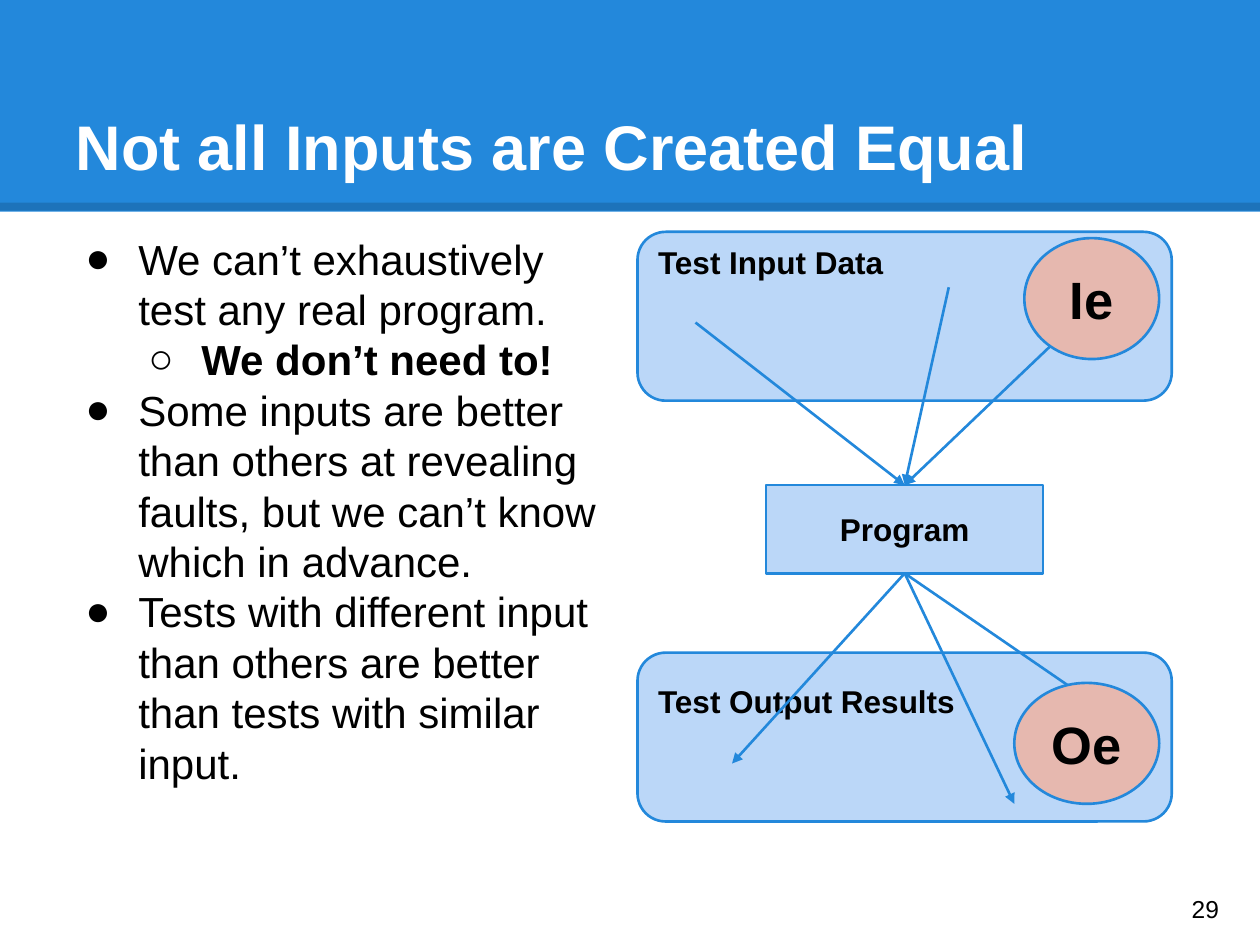
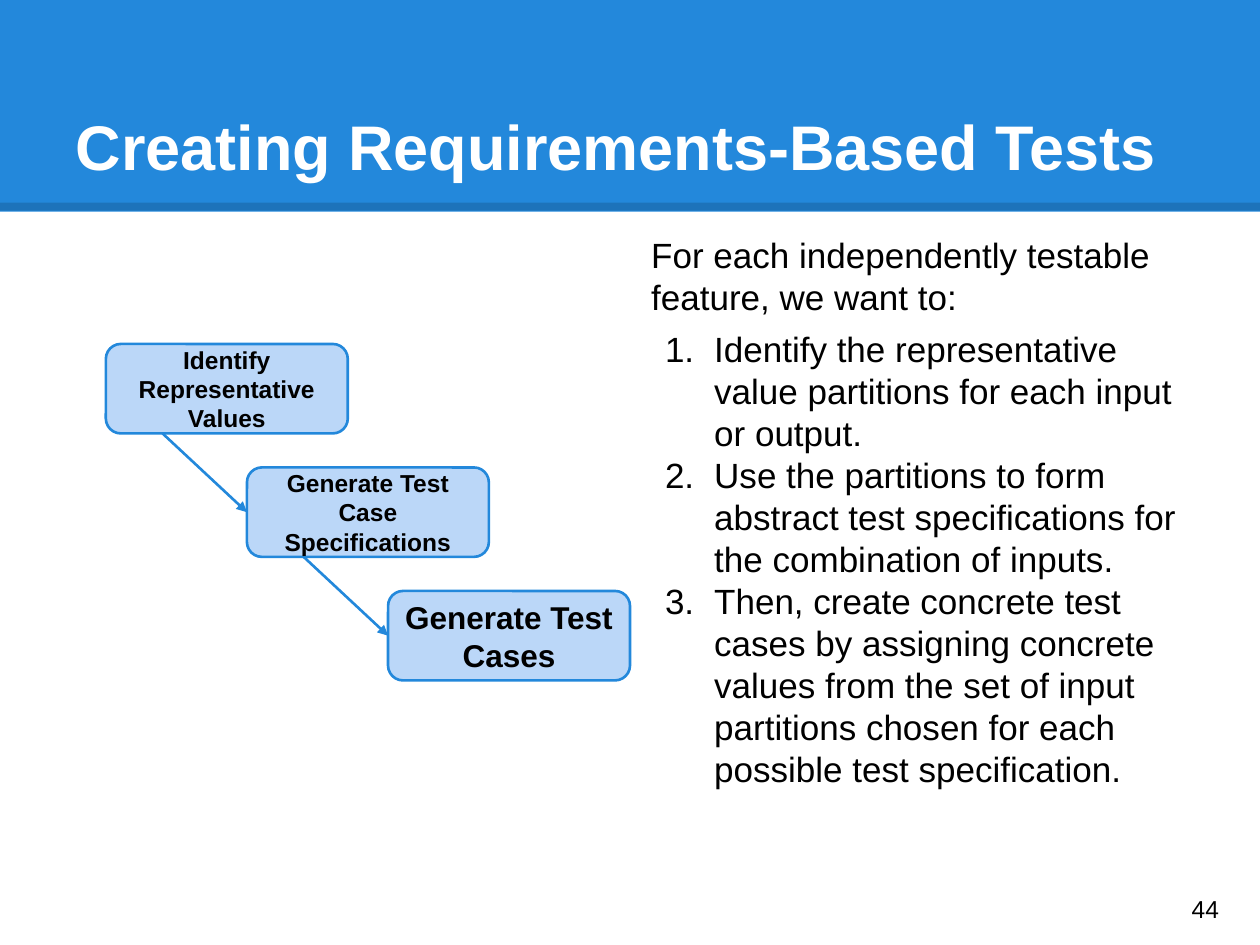
"""Build two slides on choosing test inputs and deriving requirements-based tests."""
from dataclasses import dataclass

from lxml import etree
from pptx import Presentation, util as u
from pptx.dml.color import RGBColor
from pptx.enum import shapes as kinds, text as txt
from pptx.oxml import ns


@dataclass(frozen=True)
class Theme:
    font: str = "Arial"
    accent: str = "2388DB"
    panel: str = "BBD7F8"
    highlight: str = "E6B8AF"
    ink: str = "000000"
    paper: str = "FFFFFF"
    title_size: int = 36
    symbol_size: int = 30
    bullet_size: int = 24
    list_size: int = 20
    label_size: int = 18
    small_size: int = 14
    outline: float = 1.5
    rule: float = 4.5
    rule_alpha: int = 15000
    inset: float = 0.1


THEME = Theme()
WIDTH, HEIGHT = 10, 7.5
BAND_HEIGHT, RULE_Y = 1.68, 1.64
TITLE_BOX = (0.5, 0.3, 9, 1.25)
PAGE_BOX = (9.36, 6.93, 0.6, 0.57)
BODY_TOP, BODY_SIZE = 1.75, (4.37, 5.43)
LEFT_COLUMN, RIGHT_COLUMN = 0.5, 5.07

INPUTS = {
    "title": "Not all Inputs are Created Equal",
    "page": "29",
    "points": [
        ("We can’t exhaustively test any real program.", "●"),
        ("We don’t need to!", "○"),
        ("Some inputs are better than others at revealing faults, "
         "but we can’t know which in advance.", "●"),
        ("Tests with different input than others are better "
         "than tests with similar input.", "●"),
    ],
    "program": "Program",
    "panels": [("Test Input Data", 1.84, 0.02), ("Test Output Results", 5.18, 0.17)],
    "symbols": [("Ie", 1.07, 1.89), ("Oe", 1.15, 5.42)],
    "sources": [(5.52, 2.56), (7.53, 2.28), (8.69, 2.41)],
    "results": [(5.81, 6.06), (8.05, 6.38), (9.03, 5.82)],
}
STEPS = {
    "title": "Creating Requirements-Based Tests",
    "page": "44",
    "points": [
        ("For each independently testable feature, we want to:", ""),
        ("Identify the representative value partitions for each input or output.", "1."),
        ("Use the partitions to form abstract test specifications "
         "for the combination of inputs.", "1."),
        ("Then, create concrete test cases by assigning concrete values from the set "
         "of input partitions chosen for each possible test specification.", "1."),
    ],
    "steps": [
        ("Identify Representative Values", THEME.small_size),
        ("Generate Test Case Specifications", THEME.small_size),
        ("Generate Test Cases", THEME.label_size),
    ],
}


def inches(*lengths):
    return [u.Inches(length) for length in lengths]


def rgb(colour):
    return RGBColor.from_string(colour)


def add_xml(parent, tag, **attributes):
    return etree.SubElement(parent, ns.qn(tag), attributes)


def style_frame(frame, anchor, size, colour=THEME.ink, bold=False, align=None):
    frame.word_wrap = True
    frame.auto_size = txt.MSO_AUTO_SIZE.NONE
    frame.vertical_anchor = anchor
    frame.margin_left = frame.margin_right = u.Inches(THEME.inset)
    frame.margin_top = frame.margin_bottom = u.Inches(THEME.inset)
    for paragraph in frame.paragraphs:
        paragraph.alignment = align or txt.PP_ALIGN.LEFT
        for run in paragraph.runs:
            run.font.name, run.font.size = THEME.font, u.Pt(size)
            run.font.bold, run.font.color.rgb = bold, rgb(colour)


def add_node(slide, kind, box, label, size, fill=THEME.panel, align=txt.PP_ALIGN.CENTER):
    node = slide.shapes.add_shape(kind, *inches(*box))
    node.shadow.inherit = False
    node.fill.solid()
    node.fill.fore_color.rgb = rgb(fill)
    node.line.color.rgb, node.line.width = rgb(THEME.accent), u.Pt(THEME.outline)
    node.text_frame.text = label
    style_frame(node.text_frame, txt.MSO_ANCHOR.MIDDLE, size, bold=True, align=align)
    return node


def add_line(slide, start, end, colour, width):
    line = slide.shapes.add_connector(kinds.MSO_CONNECTOR.STRAIGHT, *inches(*start, *end))
    line.line.color.rgb, line.line.width = rgb(colour), u.Pt(width)
    add_xml(line.element.spPr, "a:effectLst")
    return line


def add_arrow(slide, start, end):
    arrow = add_line(slide, start, end, THEME.accent, THEME.outline)
    add_xml(arrow.element.spPr.find(ns.qn("a:ln")), "a:tailEnd", type="triangle")
    return arrow


def add_band(slide, layout):
    for placeholder in list(layout.placeholders)[1:]:
        layout.shapes.element.remove(placeholder.element)
    band = slide.shapes.add_shape(kinds.MSO_SHAPE.RECTANGLE, *inches(0, 0, WIDTH, BAND_HEIGHT))
    band.shadow.inherit = False
    band.fill.solid()
    band.fill.fore_color.rgb = rgb(THEME.accent)
    band.line.fill.background()
    rule = add_line(slide, (0, RULE_Y), (WIDTH, RULE_Y), THEME.ink, THEME.rule)
    colour = rule.element.spPr.find(".//" + ns.qn("a:srgbClr"))
    add_xml(colour, "a:alpha", val=str(THEME.rule_alpha))
    for position, part in enumerate((band, rule), start=2):
        layout.shapes.element.insert(position, part.element)


def add_text(slide, box, content, size, anchor):
    frame = slide.shapes.add_textbox(*inches(*box)).text_frame
    frame.text = content
    style_frame(frame, anchor, size)
    return frame


def start_slide(deck, layout, content):
    slide = deck.slides.add_slide(layout)
    title = slide.shapes.title
    title.left, title.top, title.width, title.height = inches(*TITLE_BOX)
    title.text_frame.text = content["title"]
    style_frame(title.text_frame, txt.MSO_ANCHOR.BOTTOM, THEME.title_size, THEME.paper, True)
    return slide


def add_points(slide, left, points, size, hanging):
    frame = add_text(slide, (left, BODY_TOP, *BODY_SIZE),
                     "\n".join(words for words, _ in points), size, txt.MSO_ANCHOR.TOP)
    for index, (paragraph, (_, marker)) in enumerate(zip(frame.paragraphs, points)):
        after_intro = index > 0 and not points[index - 1][1]
        paragraph.space_before = u.Pt(6 if index == 0 or after_intro else 0)
        if not marker:
            continue
        paragraph.level = int(marker == "○")
        paragraph.runs[0].font.bold = marker == "○"
        properties = paragraph._p.get_or_add_pPr()
        properties.set("marL", str(u.Inches(0.5 * (paragraph.level + 1))))
        properties.set("indent", str(u.Inches(-hanging)))
        add_xml(add_xml(properties, "a:buClr"), "a:srgbClr", val=THEME.ink)
        add_xml(properties, "a:buFont", typeface=THEME.font)
        if marker == "1.":
            add_xml(properties, "a:buAutoNum", type="arabicPeriod")
        else:
            add_xml(properties, "a:buChar", char=marker)


def add_program_diagram(slide, content):
    panel_left, panel_width, panel_height = 5.06, 4.24, 1.34
    centre, panel_right = panel_left + panel_width / 2, panel_left + panel_width
    program_width, program_top, program_height = 2.2, 3.85, 0.7
    program_bottom, symbol_height = program_top + program_height, 0.96
    for label, top, inset in content["panels"]:
        panel = add_node(slide, kinds.MSO_SHAPE.ROUNDED_RECTANGLE,
                         (panel_left, top, panel_width, panel_height), label,
                         THEME.label_size, align=txt.PP_ALIGN.LEFT)
        panel.text_frame.vertical_anchor = txt.MSO_ANCHOR.TOP
        panel.text_frame.margin_top = u.Inches(inset)
    program = add_node(slide, kinds.MSO_SHAPE.RECTANGLE,
                       (centre - program_width / 2, program_top, program_width, program_height),
                       content["program"], THEME.label_size)
    for source in content["sources"]:
        add_arrow(slide, source, (centre, program_top)).end_connect(program, 0)
    for result in content["results"]:
        add_arrow(slide, (centre, program_bottom), result).begin_connect(program, 2)
    for label, width, top in content["symbols"]:
        add_node(slide, kinds.MSO_SHAPE.OVAL,
                 (panel_right - THEME.inset - width, top, width, symbol_height),
                 label, THEME.symbol_size, THEME.highlight)


def add_staircase(slide, steps):
    left, top, width, height = 0.84, 2.73, 1.92, 0.71
    across, down, exit_offset = 1.12, 0.98, 0.45
    nodes = [add_node(slide, kinds.MSO_SHAPE.ROUNDED_RECTANGLE,
                      (left + across * i, top + down * i, width, height), label, size)
             for i, (label, size) in enumerate(steps)]
    for i, following in enumerate(nodes[1:]):
        start = (left + across * i + exit_offset, top + down * i + height)
        end = (left + across * (i + 1), top + down * (i + 1) + height / 2)
        add_arrow(slide, start, end).end_connect(following, 1)


def build():
    deck = Presentation()
    deck.slide_width, deck.slide_height = inches(WIDTH, HEIGHT)
    layout = deck.slide_layouts.get_by_name("Title Only")

    inputs = start_slide(deck, layout, INPUTS)
    add_band(inputs, layout)
    add_points(inputs, LEFT_COLUMN, INPUTS["points"], THEME.bullet_size, 0.42)
    add_program_diagram(inputs, INPUTS)

    steps = start_slide(deck, layout, STEPS)
    add_staircase(steps, STEPS["steps"])
    add_points(steps, RIGHT_COLUMN, STEPS["points"], THEME.list_size, 0.39)

    for slide, content in ((inputs, INPUTS), (steps, STEPS)):
        add_text(slide, PAGE_BOX, content["page"], THEME.small_size, txt.MSO_ANCHOR.MIDDLE)
    deck.save("out.pptx")


build()
